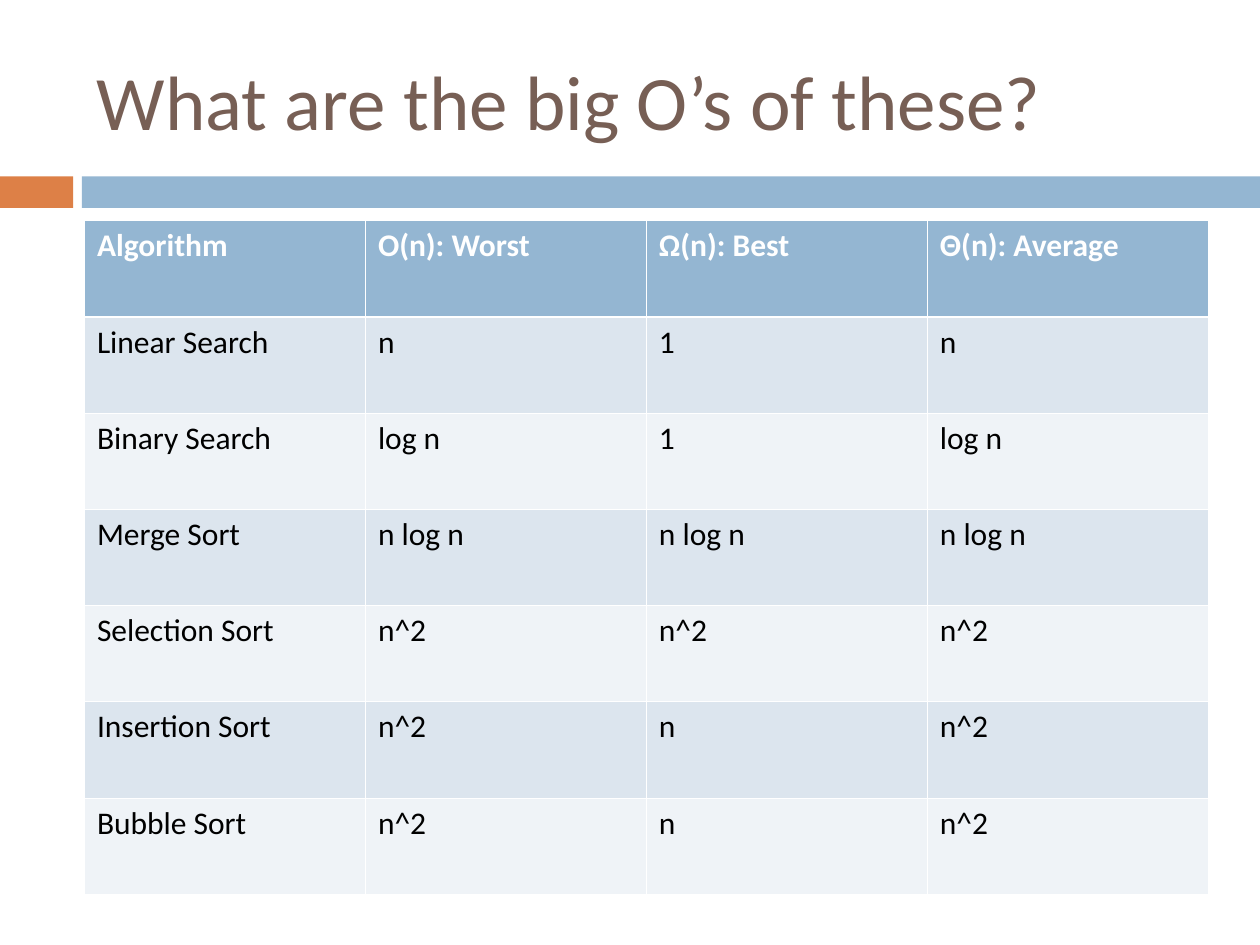
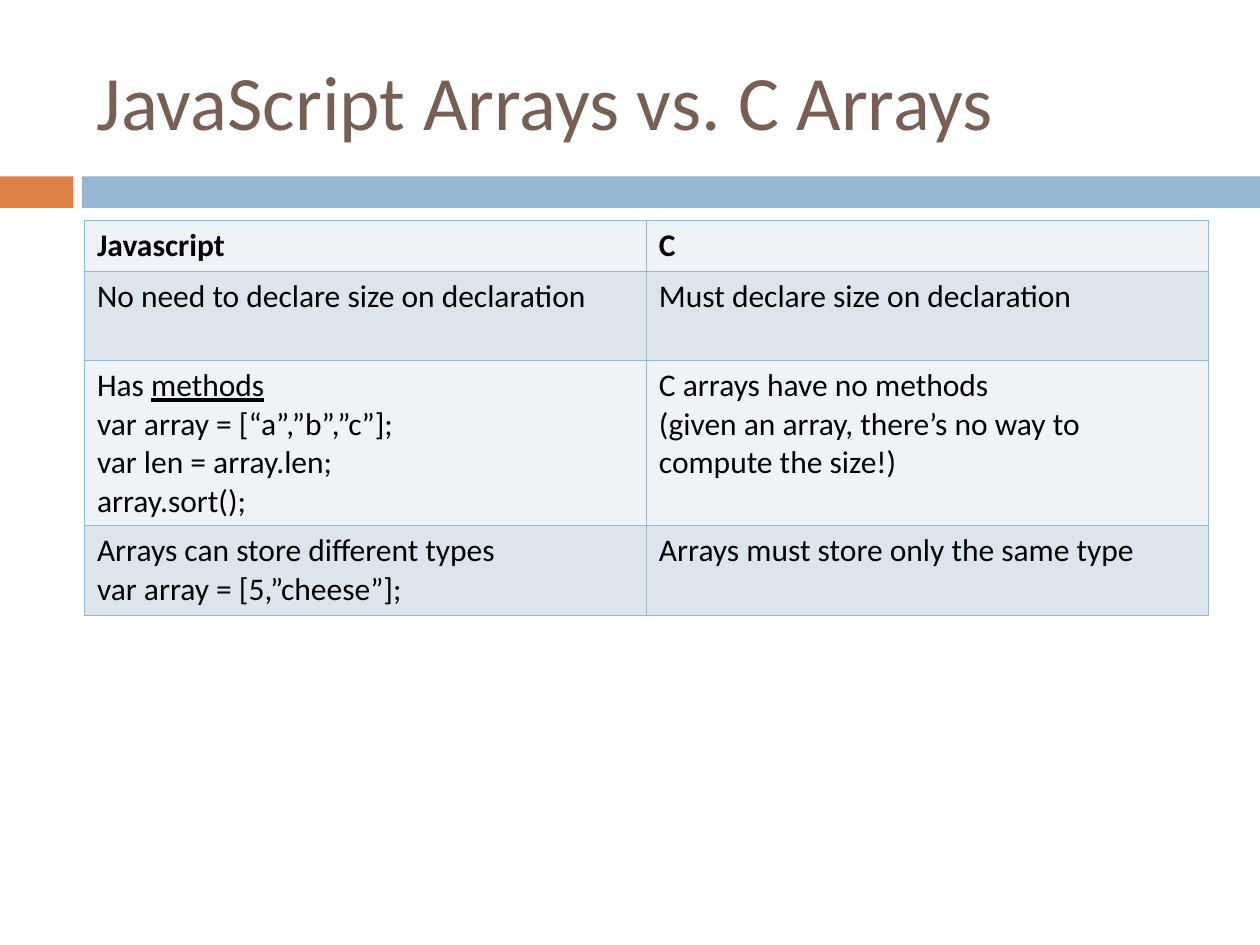
from lxml.etree import SubElement
from pptx import Presentation
from pptx.dml.color import RGBColor
from pptx.enum.shapes import MSO_SHAPE
from pptx.enum.text import MSO_ANCHOR
from pptx.oxml.ns import qn
from pptx.util import Inches, Pt

COLORS = {
    "title": "775F55",
    "orange": "DD8047",
    "blue": "94B6D2",
    "dark_row": "DCE5EE",
    "light_row": "EFF3F7",
    "white": "FFFFFF",
    "black": "000000",
}
FONT = "Calibri"
LEFT, WIDTH = 0.67, 8.92
BANDS = [(0, 0.58, "orange"), (0.65, 9.35, "blue")]

SLIDES = [
    {
        "title": "What are the big O’s of these?",
        "heights": [0.764] * 7,
        "header_fill": "blue",
        "header_text": "white",
        "row_fills": ["dark_row", "light_row"],
        "border": "white",
        "header_rule": 1.47,
        "rows": [
            ["Algorithm", "O(n): Worst", "Ω(n): Best", "Θ(n): Average"],
            ["Linear Search", "n", "1", "n"],
            ["Binary Search", "log n", "1", "log n"],
            ["Merge Sort", "n log n", "n log n", "n log n"],
            ["Selection Sort", "n^2", "n^2", "n^2"],
            ["Insertion Sort", "n^2", "n", "n^2"],
            ["Bubble Sort", "n^2", "n", "n^2"],
        ],
    },
    {
        "title": "JavaScript Arrays vs. C Arrays",
        "heights": [0.4, 0.71, 1.31, 0.71],
        "header_fill": "light_row",
        "header_text": "black",
        "row_fills": ["dark_row", "light_row"],
        "border": "blue",
        "header_rule": 0.45,
        "rows": [
            ["Javascript", "C"],
            ["No need to declare size on declaration", "Must declare size on declaration"],
            [
                "Has _methods_\nvar array = [“a”,”b”,”c”];\nvar len = array.len;\narray.sort();",
                "C arrays have no methods\n(given an array, there’s no way to compute the size!)",
            ],
            [
                "Arrays can store different types\nvar array = [5,”cheese”];",
                "Arrays must store only the same type",
            ],
        ],
    },
]


def style_run(run, size, color, bold=False):
    run.font.name = FONT
    run.font.size = Pt(size)
    run.font.bold = bold
    run.font.color.rgb = RGBColor.from_string(COLORS[color])


def set_borders(cell, color, widths):
    properties = cell._tc.get_or_add_tcPr()
    for side, width in widths.items():
        line = SubElement(properties, qn(f"a:ln{side}"), w=str(Pt(width)))
        SubElement(SubElement(line, qn("a:solidFill")), qn("a:srgbClr"), val=COLORS[color])


prs = Presentation()
prs.slide_width = Inches(10)
prs.slide_height = Inches(7.5)

for content in SLIDES:
    slide = prs.slides.add_slide(prs.slide_layouts[6])

    for band_left, band_width, color in BANDS:
        band = slide.shapes.add_shape(
            MSO_SHAPE.RECTANGLE, Inches(band_left), Inches(1.4), Inches(band_width), Inches(0.25)
        )
        band.shadow.inherit = False
        band.fill.solid()
        band.fill.fore_color.rgb = RGBColor.from_string(COLORS[color])
        band.line.fill.background()

    title = slide.shapes.add_textbox(Inches(LEFT), Inches(0.25), Inches(WIDTH), Inches(1.08))
    title.text_frame.word_wrap = True
    title.text_frame.vertical_anchor = MSO_ANCHOR.MIDDLE
    title.text_frame.text = content["title"]
    style_run(title.text_frame.paragraphs[0].runs[0], 44, "title")

    rows, heights = content["rows"], content["heights"]
    table = slide.shapes.add_table(
        len(rows), len(rows[0]), Inches(LEFT), Inches(1.75), Inches(WIDTH), Inches(sum(heights))
    ).table
    table.horz_banding = False

    for r, row in enumerate(rows):
        table.rows[r].height = Inches(heights[r])
        is_header = r == 0
        fill = content["header_fill"] if is_header else content["row_fills"][(r - 1) % 2]
        text_color = content["header_text"] if is_header else "black"
        borders = {"L": 0.45, "R": 0.45, "T": 0.45, "B": 0.45}
        if r < 2:
            borders["B" if is_header else "T"] = content["header_rule"]

        for c, text in enumerate(row):
            cell = table.cell(r, c)
            set_borders(cell, content["border"], borders)
            cell.fill.solid()
            cell.fill.fore_color.rgb = RGBColor.from_string(COLORS[fill])
            cell.text_frame.text = text
            for paragraph in cell.text_frame.paragraphs:
                plain, *marked = paragraph.text.split("_")
                paragraph.runs[0].text = plain
                if marked:
                    underlined = paragraph.add_run()
                    underlined.text = marked[0]
                    underlined.font.underline = True
                for run in paragraph.runs:
                    style_run(run, 18, text_color, is_header)

prs.save("out.pptx")
